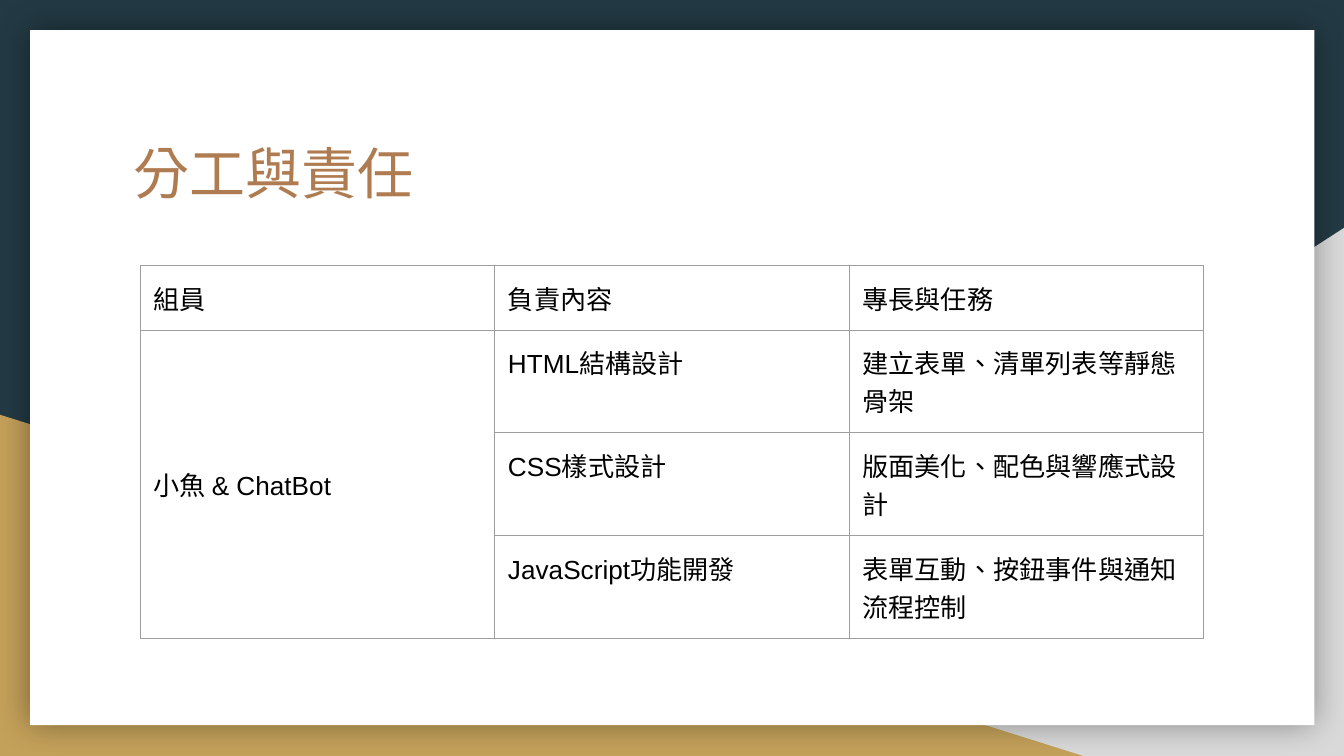
import pptx
import pptx.util
import pptx.dml.color
import pptx.enum.shapes
import pptx.enum.text
import pptx.oxml
import pptx.oxml.ns
from pptx.util import Cm

COLORS = {
    "background": "233A44",
    "gray": "D9D9D9",
    "gold": "C4A15A",
    "panel": "FFFFFF",
    "title": "AF7B51",
    "text": "000000",
    "border": "9E9E9E",
    "shadow": "000000",
}
NS = pptx.oxml.ns.nsdecls("a")
SHAPES = pptx.enum.shapes.MSO_SHAPE
ANCHORS = pptx.enum.text.MSO_ANCHOR

HEADER = ["組員", "負責內容", "專長與任務"]
MEMBERS = "小魚 & ChatBot"
DUTIES = [
    ("HTML結構設計", "建立表單、清單列表等靜態骨架"),
    ("CSS樣式設計", "版面美化、配色與響應式設計"),
    ("JavaScript功能開發", "表單互動、按鈕事件與通知流程控制"),
]


def rgb(name):
    return pptx.dml.color.RGBColor.from_string(COLORS[name])


def write(frame, text, font, size, color):
    """Write one left-aligned paragraph."""
    paragraph = frame.paragraphs[0]
    paragraph.alignment = pptx.enum.text.PP_ALIGN.LEFT
    run = paragraph.add_run()
    run.text = text
    run.font.color.rgb = rgb(color)
    for name, value in {"name": font, "size": pptx.util.Pt(size), "bold": False}.items():
        setattr(run.font, name, value)
    run._r.get_or_add_rPr().set("lang", "zh-TW")
    return run


def set_insets(holder, anchor):
    """Give a text frame or a table cell even insets and an anchor."""
    for side in ("left", "right", "top", "bottom"):
        setattr(holder, f"margin_{side}", Cm(0.25))
    holder.vertical_anchor = anchor


def add_block(slide, kind, color, left, top, width, height):
    block = slide.shapes.add_shape(kind, Cm(left), Cm(top), Cm(width), Cm(height))
    block.shadow.inherit = False
    block.fill.solid()
    block.fill.fore_color.rgb = rgb(color)
    block.line.fill.background()
    return block


def add_glow_shadow(block):
    effects = block._element.spPr.find(pptx.oxml.ns.qn("a:effectLst"))
    effects.append(pptx.oxml.parse_xml(
        f'<a:outerShdw {NS} blurRad="{pptx.util.Pt(18)}" dist="0" dir="0" algn="ctr" '
        f'rotWithShape="0"><a:srgbClr val="{COLORS["shadow"]}"><a:alpha val="40000"/>'
        '</a:srgbClr></a:outerShdw>'))


def add_backdrop(slide):
    slide.background.fill.solid()
    slide.background.fill.fore_color.rgb = rgb("background")
    gray_corner = add_block(slide, SHAPES.RIGHT_TRIANGLE, "gray", 9.96, 4.31, 15.44, 9.98)
    gray_corner._element.spPr.xfrm.set("flipH", "1")
    add_block(slide, SHAPES.RIGHT_TRIANGLE, "gold", 0, 7.84, 20.47, 6.45)
    add_glow_shadow(add_block(slide, SHAPES.RECTANGLE, "panel", 0.57, 0.57, 24.27, 13.14))


def add_title(slide, text):
    title = slide.shapes.title
    slide.shapes._spTree.append(title._element)  # in front of the panel
    place = {"left": Cm(2.28), "top": Cm(2.36), "width": Cm(20.85), "height": Cm(2.64)}
    for name, value in place.items():
        setattr(title, name, value)
    frame = title.text_frame
    frame.auto_size = pptx.enum.text.MSO_AUTO_SIZE.NONE
    frame.word_wrap = True
    set_insets(frame, ANCHORS.TOP)
    font = "TeX Gyre Adventor"
    run = write(frame, text, font, 30, "title")
    # Use the same typeface for the Chinese characters
    run._r.get_or_add_rPr().append(pptx.oxml.parse_xml(f'<a:ea {NS} typeface="{font}"/>'))


def style_cell(cell):
    cell.fill.background()
    properties = cell._tc.get_or_add_tcPr()
    for index, side in enumerate(["lnL", "lnR", "lnT", "lnB"]):
        properties.insert(index, pptx.oxml.parse_xml(
            f'<a:{side} {NS} w="{pptx.util.Pt(0.75)}"><a:solidFill>'
            f'<a:srgbClr val="{COLORS["border"]}"/></a:solidFill></a:{side}>'))


def add_duty_table(slide):
    rows, columns = len(DUTIES) + 1, len(HEADER)
    table = slide.shapes.add_table(
        rows, columns, Cm(2.65), Cm(5.02), Cm(6.7 * columns), Cm(1.07 * rows)).table
    table.first_row = table.horz_banding = False
    table.cell(1, 0).merge(table.cell(rows - 1, 0))

    content = [HEADER] + [(MEMBERS if not i else "", *duty) for i, duty in enumerate(DUTIES)]
    for row, texts in enumerate(content):
        for column, text in enumerate(texts):
            cell = table.cell(row, column)
            style_cell(cell)
            if text:
                set_insets(cell, ANCHORS.MIDDLE if cell.is_merge_origin else ANCHORS.TOP)
                write(cell.text_frame, text, "Arial", 14, "text")


def main():
    presentation = pptx.Presentation()
    presentation.slide_width, presentation.slide_height = Cm(25.4), Cm(14.29)
    slide = presentation.slides.add_slide(presentation.slide_layouts[5])
    add_backdrop(slide)
    add_title(slide, "分工與責任")
    add_duty_table(slide)
    presentation.save("out.pptx")


if __name__ == "__main__":
    main()
